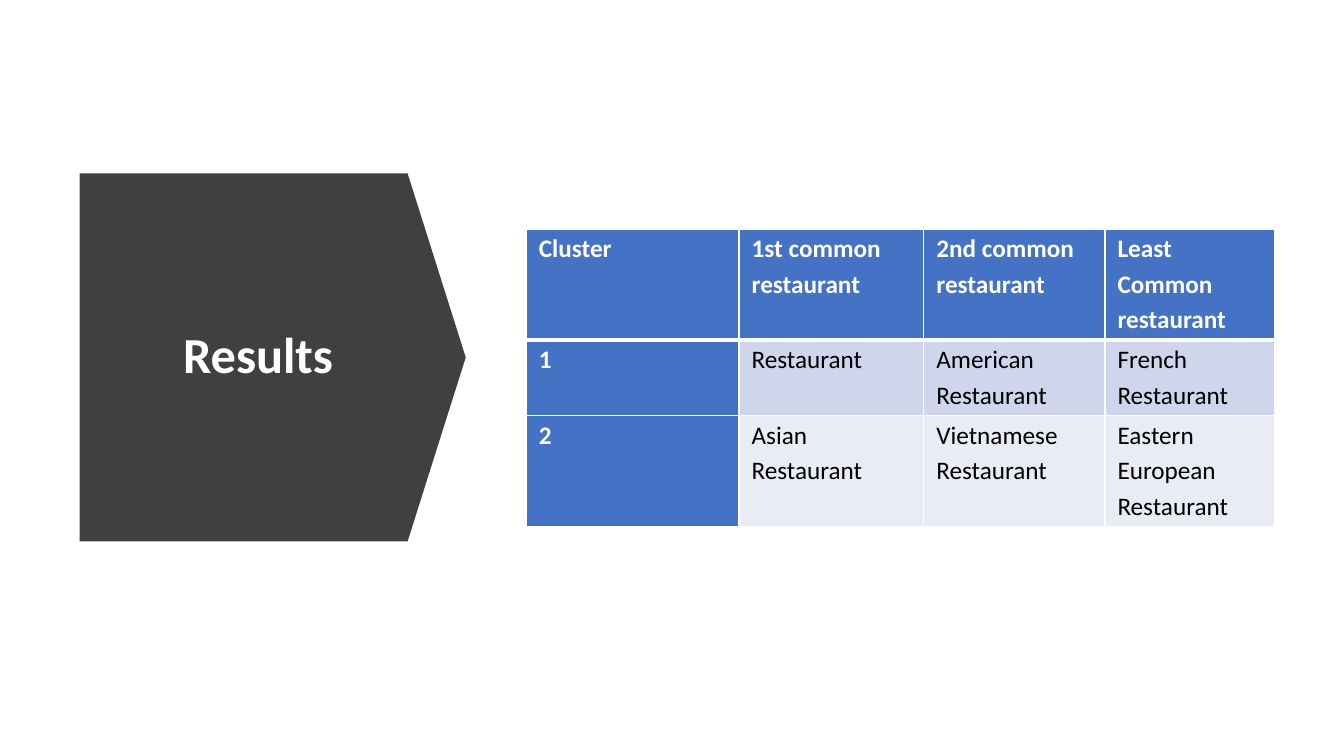
from lxml.etree import SubElement
from pptx import Presentation
from pptx.dml.color import RGBColor
from pptx.enum.shapes import MSO_SHAPE as Shape
from pptx.enum.text import MSO_ANCHOR as Anchor, PP_ALIGN as Align
from pptx.oxml.ns import qn
from pptx.util import Pt

COLORS = {
    "arrow": "404040",
    "header": "4472C4",
    "odd": "CFD5EA",
    "even": "E9EBF5",
    "white": "FFFFFF",
    "black": "000000",
}


def style_text(paragraph, size, color, bold, spacing):
    paragraph.line_spacing = spacing
    paragraph.font.name = "Calibri"
    paragraph.font.size = Pt(size)
    paragraph.font.bold = bold
    paragraph.font.color.rgb = RGBColor.from_string(COLORS[color])


def add_border(cell, side, width):
    line = SubElement(cell._tc.get_or_add_tcPr(), qn(f"a:ln{side}"), w=str(Pt(width)))
    fill = SubElement(line, qn("a:solidFill"))
    SubElement(fill, qn("a:srgbClr"), val=COLORS["white"])


presentation = Presentation()
presentation.slide_width = Pt(960)
presentation.slide_height = Pt(540)
slide = presentation.slides.add_slide(presentation.slide_layouts[6])

arrow = slide.shapes.add_shape(Shape.PENTAGON, Pt(56.9), Pt(123.9), Pt(275.8), Pt(262.8))
arrow.adjustments[0] = 0.158
arrow.shadow.inherit = False
arrow.fill.solid()
arrow.fill.fore_color.rgb = RGBColor.from_string(COLORS["arrow"])
arrow.line.fill.background()
arrow.text_frame.word_wrap = True
arrow.text_frame.vertical_anchor = Anchor.MIDDLE
title = arrow.text_frame.paragraphs[0]
title.text = "Results"
title.alignment = Align.CENTER
style_text(title, 36, "white", True, 0.9)

rows = [
    ["Cluster", "1st common restaurant", "2nd common restaurant", "Least Common restaurant"],
    ["1", "Restaurant", "American Restaurant", "French Restaurant"],
    ["2", "Asian Restaurant", "Vietnamese Restaurant", "Eastern European Restaurant"],
]
column_widths = [152, 132, 129.4, 121]
row_heights = [79.2, 54, 79.2]
table = slide.shapes.add_table(
    len(rows), len(column_widths), Pt(375.9), Pt(163.8),
    Pt(sum(column_widths)), Pt(sum(row_heights)),
).table
table.first_col = True
for column, width in zip(table.columns, column_widths):
    column.width = Pt(width)

for row_index, texts in enumerate(rows):
    table.rows[row_index].height = Pt(row_heights[row_index])
    for column_index, text in enumerate(texts):
        cell = table.cell(row_index, column_index)
        cell.margin_left = cell.margin_right = Pt(9)
        cell.margin_top = cell.margin_bottom = Pt(0)
        is_header = row_index == 0 or column_index == 0
        band = "odd" if row_index % 2 else "even"

        add_border(cell, "L", 1)
        add_border(cell, "R", 1)
        add_border(cell, "T", 3 if row_index == 1 else 1)
        add_border(cell, "B", 3 if row_index == 0 else 1)
        cell.fill.solid()
        cell.fill.fore_color.rgb = RGBColor.from_string(COLORS["header" if is_header else band])

        paragraph = cell.text_frame.paragraphs[0]
        paragraph.text = text
        style_text(paragraph, 18, "white" if is_header else "black", is_header, 1.15)

presentation.save("out.pptx")
